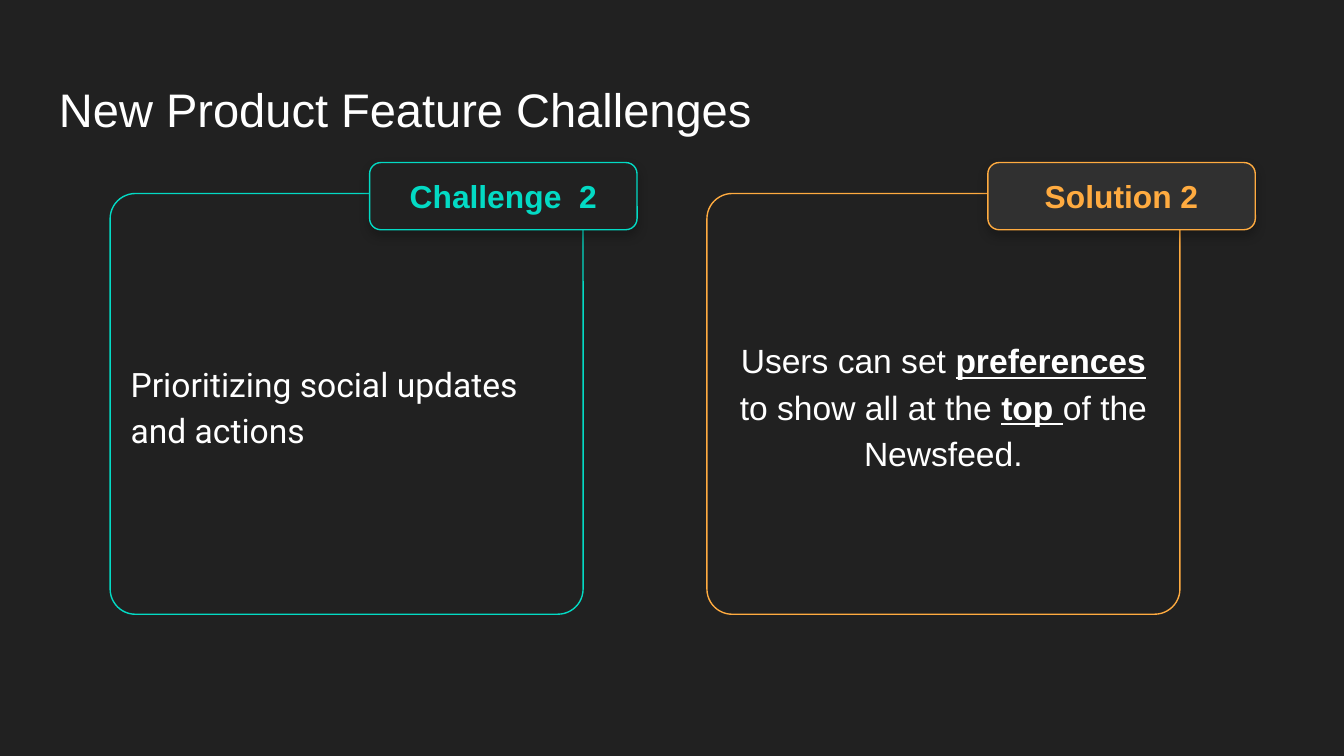
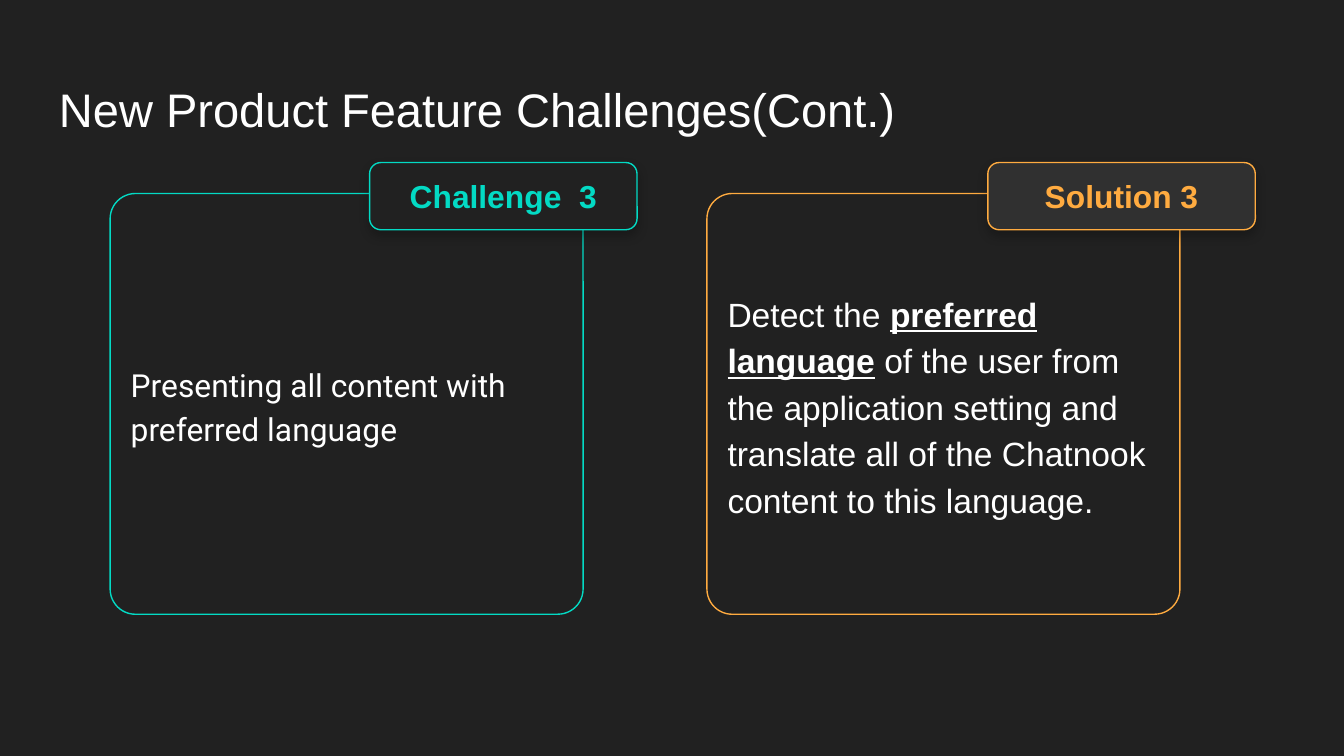
from lxml.etree import SubElement
from pptx import Presentation
from pptx.dml.color import RGBColor
from pptx.enum.shapes import MSO_SHAPE
from pptx.enum.text import MSO_ANCHOR, PP_ALIGN
from pptx.oxml.ns import qn
from pptx.util import Pt

BACKGROUND = RGBColor(0x21, 0x21, 0x21)
PANEL = RGBColor(0x30, 0x30, 0x30)
WHITE = RGBColor(0xFF, 0xFF, 0xFF)
TEAL = RGBColor(0x03, 0xDA, 0xC4)
ORANGE = RGBColor(0xFF, 0xAB, 0x40)

LEFT, CENTER = PP_ALIGN.LEFT, PP_ALIGN.CENTER
PLAIN = {"bold": False, "underline": False}
STRONG = {"bold": True, "underline": True}

SLIDES = [
    {
        "title": "New Product Feature Challenges",
        "cards": [
            {
                "label": "Challenge  2",
                "spans": [("Prioritizing social updates and actions", PLAIN)],
                "font": {"name": "Roboto", "size": Pt(18)},
                "paragraph": {"alignment": LEFT},
            },
            {
                "label": "Solution 2",
                "spans": [
                    ("Users can set ", PLAIN),
                    ("preferences ", STRONG),
                    ("to show all at the ", PLAIN),
                    ("top ", STRONG),
                    ("of the Newsfeed.", PLAIN),
                ],
                "font": {"name": "Arial", "size": Pt(18)},
                "paragraph": {"alignment": CENTER},
            },
        ],
    },
    {
        "title": "New Product Feature Challenges(Cont.)",
        "cards": [
            {
                "label": "Challenge  3",
                "spans": [("Presenting all content with preferred language", PLAIN)],
                "font": {"name": "Roboto", "size": Pt(17)},
                "paragraph": {"alignment": LEFT, "space_before": Pt(8)},
            },
            {
                "label": "Solution 3",
                "spans": [
                    ("Detect the ", PLAIN),
                    ("preferred language", STRONG),
                    (" of the user from the application setting and translate "
                     "all of the Chatnook content to this language.", PLAIN),
                ],
                "font": {"name": "Arial", "size": Pt(18)},
                "paragraph": {"alignment": LEFT},
            },
        ],
    },
]

COLUMNS = [
    {"color": TEAL, "card_left": 59, "label_left": 198, "label_fill": BACKGROUND},
    {"color": ORANGE, "card_left": 378.7, "label_left": 529.2, "label_fill": PANEL},
]
CARD_TOP, CARD_WIDTH, CARD_HEIGHT, CARD_ROUNDING = 103.7, 253.4, 225.4, 0.06
LABEL_TOP, LABEL_WIDTH, LABEL_HEIGHT, LABEL_ROUNDING = 87.1, 143.3, 36, 0.167
TITLE_AREA = (24.5, 35.3, 671, 45.4)
INSET = Pt(7.2)


def apply(target, values):
    for name, value in values.items():
        setattr(target, name, value)


def write(shape, spans, font, paragraph, anchor=MSO_ANCHOR.MIDDLE):
    frame = shape.text_frame
    apply(frame, {"word_wrap": True, "vertical_anchor": anchor,
                  "margin_left": INSET, "margin_right": INSET,
                  "margin_top": INSET, "margin_bottom": INSET})
    para = frame.paragraphs[0]
    apply(para, paragraph)
    for text, style in spans:
        span = para.add_run()
        span.text = text
        color = font.get("color", WHITE)
        apply(span.font, {"name": font["name"], "size": font["size"], **style})
        span.font.color.rgb = color


def add_outline(page, area, rounding, color, fill=None):
    shape = page.shapes.add_shape(MSO_SHAPE.ROUNDED_RECTANGLE, *map(Pt, area))
    shape.adjustments[0] = rounding
    shape.shadow.inherit = False
    shape.line.color.rgb = color
    shape.line.width = Pt(0.75)
    if fill is None:
        shape.fill.background()
    else:
        shape.fill.solid()
        shape.fill.fore_color.rgb = fill
    return shape


def cast_shadow(shape):
    effects = shape.element.spPr.find(qn("a:effectLst"))
    shadow = SubElement(effects, qn("a:outerShdw"), blurRad=str(Pt(5.6)),
                        dist=str(Pt(3)), dir=str(89 * 60000),
                        algn="bl", rotWithShape="0")
    color = SubElement(shadow, qn("a:srgbClr"), val="000000")
    SubElement(color, qn("a:alpha"), val="24000")


def add_title(page, text):
    box = page.shapes.add_textbox(*map(Pt, TITLE_AREA))
    write(box, [(text, PLAIN)], {"name": "Arial", "size": Pt(25.2)},
          {"alignment": LEFT}, MSO_ANCHOR.BOTTOM)


def add_card(page, card, column):
    color = column["color"]
    body = add_outline(page, (column["card_left"], CARD_TOP, CARD_WIDTH, CARD_HEIGHT),
                       CARD_ROUNDING, color)
    write(body, card["spans"], card["font"],
          {"line_spacing": 1.15, "space_after": Pt(12), **card["paragraph"]})

    label = add_outline(page, (column["label_left"], LABEL_TOP, LABEL_WIDTH, LABEL_HEIGHT),
                        LABEL_ROUNDING, color, column["label_fill"])
    cast_shadow(label)
    write(label, [(card["label"], {"bold": True})],
          {"name": "Arial", "size": Pt(17), "color": color}, {"alignment": CENTER})


def main():
    deck = Presentation()
    apply(deck, {"slide_width": Pt(720), "slide_height": Pt(405)})
    for content in SLIDES:
        page = deck.slides.add_slide(deck.slide_layouts[6])
        page.background.fill.solid()
        page.background.fill.fore_color.rgb = BACKGROUND
        add_title(page, content["title"])
        for card, column in zip(content["cards"], COLUMNS):
            add_card(page, card, column)
    deck.save("out.pptx")


if __name__ == "__main__":
    main()
